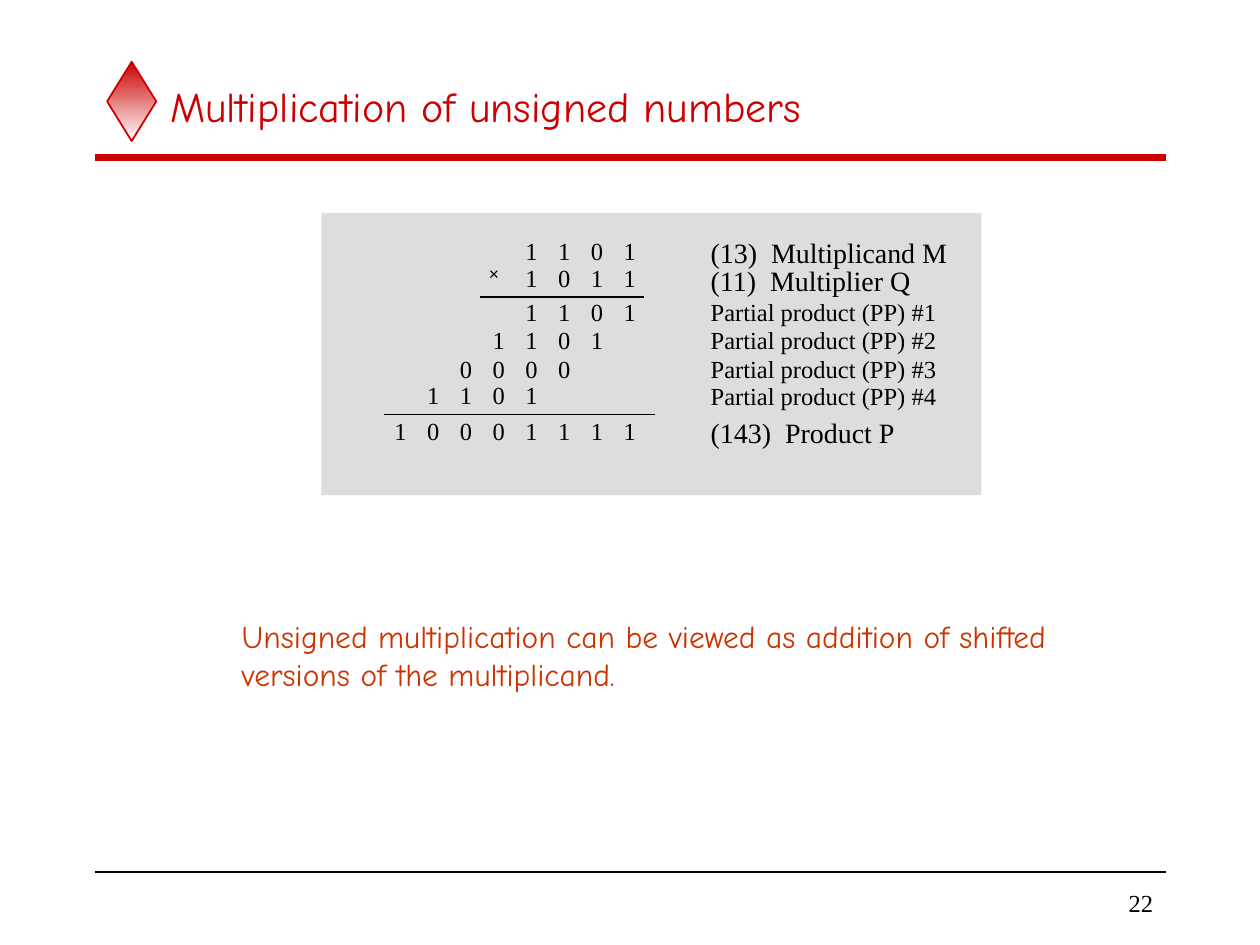
from lxml.etree import SubElement
from pptx import Presentation
from pptx.dml.color import RGBColor
from pptx.enum.shapes import MSO_CONNECTOR as Connector, MSO_SHAPE as Preset
from pptx.enum.text import MSO_ANCHOR as Anchor, MSO_AUTO_SIZE as AutoSize, PP_ALIGN as Align
from pptx.oxml.ns import qn
from pptx.util import Inches, Pt

COLORS = {"red": "CC0000", "orange": "CC3300", "black": "000000",
          "white": "FFFFFF", "panel": "DDDDDD"}
SERIF, HAND = "Times New Roman", "Comic Neue"


def color(name):
    return RGBColor.from_string(COLORS[name])


def write(box, text, size=14, font=SERIF, ink="black", align=Align.LEFT,
          anchor=Anchor.TOP, inset=(0, 0), wrap=False):
    frame = box.text_frame
    frame.word_wrap = wrap
    frame.auto_size = AutoSize.NONE
    frame.vertical_anchor = anchor
    frame.margin_left = frame.margin_right = Inches(inset[0])
    frame.margin_top = frame.margin_bottom = Inches(inset[1])
    frame.text = text
    for para in frame.paragraphs:
        para.alignment = align
        for span in para.runs:
            span.font.size = Pt(size)
            span.font.name = font
            span.font.color.rgb = color(ink)


deck = Presentation()
deck.slide_width, deck.slide_height = Inches(10), Inches(7.5)
page = deck.slides.add_slide(deck.slide_layouts[5])
shapes = page.shapes
padding = (0.1, 0.05)

title = shapes.title
title.left, title.top, title.width, title.height = map(Inches, (1.25, 0.5, 8, 0.67))
write(title, "Multiplication of unsigned numbers", size=24, font=HAND, ink="red",
      anchor=Anchor.MIDDLE, inset=padding, wrap=True)

diamond = shapes.add_shape(Preset.DIAMOND, *map(Inches, (0.85, 0.49, 0.39, 0.63)))
diamond.shadow.inherit = False
diamond.fill.gradient()
diamond.fill.gradient_angle = 270
for stop, name in zip(diamond.fill.gradient_stops, ("red", "white")):
    stop.color.rgb = color(name)
diamond.line.color.rgb = color("red")
diamond.line.width = Pt(1)

panel = shapes.add_shape(Preset.RECTANGLE, *map(Inches, (2.55, 1.69, 5.24, 2.24)))
panel.shadow.inherit = False
panel.fill.solid()
panel.fill.fore_color.rgb = color("panel")
panel.line.fill.background()

rules = [
    (0.75, 9.25, 1.25, 4, "red"),
    (0.75, 9.25, 6.92, 1, "black"),
    (3.81, 5.11, 2.36, 1.13, "black"),
    (3.05, 5.2, 3.29, 1, "black"),
]
for start, end, height, weight, ink in rules:
    rule = shapes.add_connector(Connector.STRAIGHT, Inches(start), Inches(height),
                                Inches(end), Inches(height))
    rule.line.color.rgb = color(ink)
    rule.line.width = Pt(weight)
    SubElement(rule._element.spPr, qn("a:effectLst"))

first_column, pitch, label_left = 3.13, 0.26, 5.64
rows = [
    (1.87, 4, "1101", "(13)  Multiplicand M", 16),
    (2.09, 4, "1011", "(11)  Multiplier Q", 16),
    (2.36, 4, "1101", "Partial product (PP) #1", 14),
    (2.58, 3, "1101", "Partial product (PP) #2", 14),
    (2.81, 2, "0000", "Partial product (PP) #3", 14),
    (3.02, 1, "1101", "Partial product (PP) #4", 14),
    (3.3, 0, "10001111", "(143)  Product P", 16),
]
for top, offset, digits, label, size in rows:
    for column, digit in enumerate(digits, offset):
        left = first_column + column * pitch
        box = shapes.add_textbox(*map(Inches, (left, top, 0.1, 0.23)))
        write(box, digit)
    box = shapes.add_textbox(*map(Inches, (label_left, top, 1.88, size / 60)))
    write(box, label, size=size)

times = shapes.add_textbox(*map(Inches, (3.88, 2.09, 0.11, 0.17)))
write(times, "×", size=10, font="Arial")

remark = shapes.add_textbox(*map(Inches, (1.82, 4.85, 6.68, 0.7)))
write(remark, "Unsigned multiplication can be viewed as addition of shifted\n"
      "versions of the multiplicand.", size=18, font=HAND, ink="orange", inset=padding)

number = shapes.add_textbox(*map(Inches, (7.83, 7, 1.42, 0.33)))
write(number, "22", align=Align.RIGHT, anchor=Anchor.MIDDLE, inset=padding, wrap=True)

deck.save("out.pptx")
